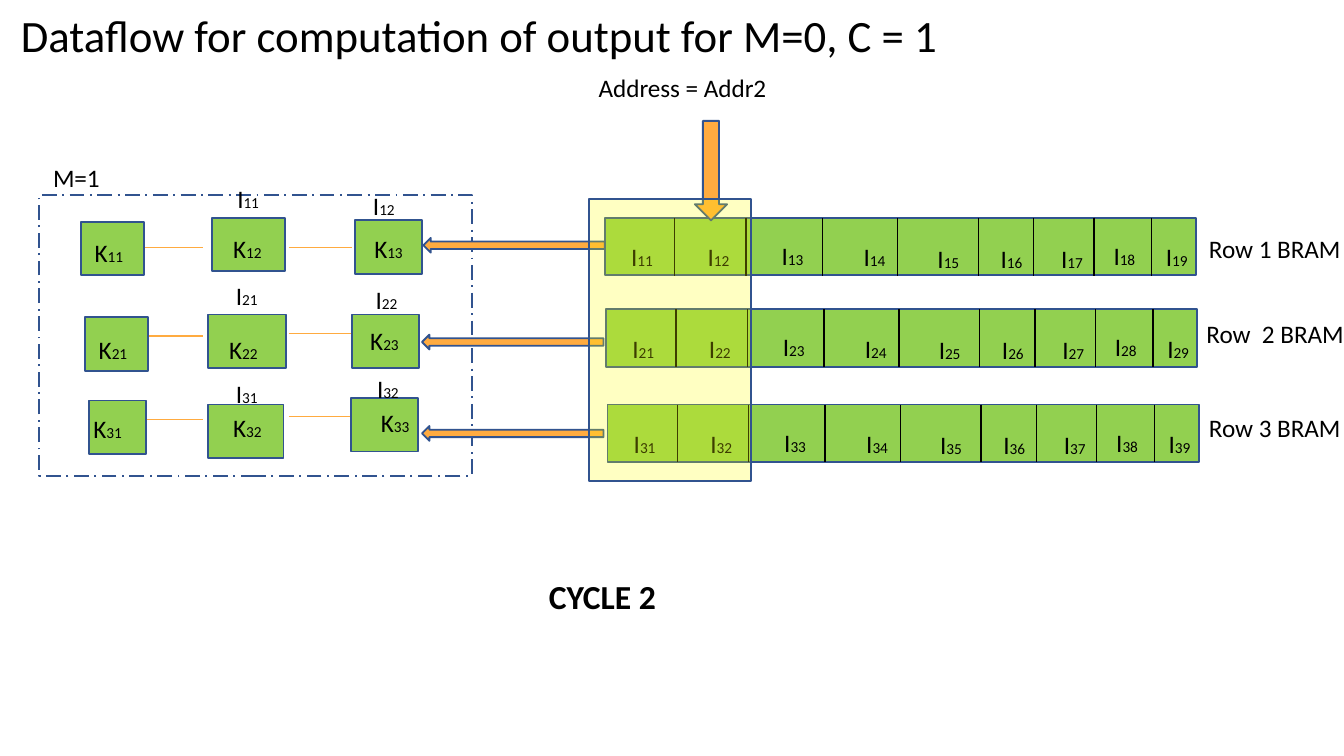
from lxml import etree
from pptx import Presentation
from pptx import util as u
from pptx.dml.color import RGBColor
from pptx.enum import dml, shapes, text
from pptx.oxml.ns import qn

GREEN, ORANGE, YELLOW = "92D050", "FFAB40", "FFFF00"
NAVY, BLACK = "31538F", "000000"
SHAPE = shapes.MSO_SHAPE


def colour(value):
    return RGBColor.from_string(value)


def add_text(page, box, parts, **format_values):
    """Put one line of (words, size) spans in a text box."""
    holder = page.shapes.add_textbox(*map(u.Inches, box))
    frame = holder.text_frame
    frame_values = {
        "word_wrap": True, "vertical_anchor": text.MSO_ANCHOR.TOP,
        "margin_left": u.Pt(5.4), "margin_right": u.Pt(5.4),
        "margin_top": u.Pt(2.7), "margin_bottom": u.Pt(2.7),
    }
    for name, value in frame_values.items():
        setattr(frame, name, value)
    para = frame.paragraphs[0]
    for words, size in parts:
        span = para.add_run()
        span.text = words
        font_values = {"name": "Calibri", "size": u.Pt(size), **format_values}
        for name, value in font_values.items():
            setattr(span.font, name, value)
        span.font.color.rgb = colour(BLACK)


def add_indexed(page, left, top, width, letter, index):
    """Letter with a small index, such as K11."""
    add_text(page, (left, top, width, 0.23), [(letter, 13.5), (index, 8.2)])


def add_block(page, kind, box, fill=None):
    block = page.shapes.add_shape(kind, *map(u.Inches, box))
    block.shadow.inherit = False
    if fill:
        block.fill.solid()
        block.fill.fore_color.rgb = colour(fill)
    else:
        block.fill.background()
    block.line.color.rgb = colour(NAVY)
    block.line.width = u.Pt(1)
    return block


def add_line(page, start, end, line_colour):
    line = page.shapes.add_connector(
        shapes.MSO_CONNECTOR.STRAIGHT, *map(u.Inches, (*start, *end)))
    line.line.color.rgb = colour(line_colour)
    line.line.width = u.Pt(0.75)
    etree.SubElement(line._element.spPr, qn("a:effectLst"))


def add_kernel(page, box):
    """Grid of kernel cells, their links and the dashed frame."""
    left, top = box[:2]
    # Heights of the two links in each row
    for link_tops in ((0.39, 0.39), (1.05, 1.03), (1.67, 1.65)):
        for start, link_top in zip((0.75, 1.86), link_tops):
            add_line(page, (left + start, top + link_top),
                     (left + start + 0.47, top + link_top), ORANGE)
    # Cell left, top, width; label left, top
    cells = {
        "11": (0.31, 0.20, 0.47, 0.34, 0.28),
        "12": (1.29, 0.17, 0.54, 1.37, 0.25),
        "13": (2.35, 0.19, 0.50, 2.42, 0.25),
        "21": (0.34, 0.91, 0.47, 0.37, 1.00),
        "22": (1.26, 0.89, 0.58, 1.34, 1.00),
        "23": (2.33, 0.89, 0.50, 2.39, 0.93),
        "31": (0.37, 1.53, 0.43, 0.33, 1.59),
        "32": (1.26, 1.56, 0.56, 1.37, 1.58),
        "33": (2.32, 1.51, 0.50, 2.47, 1.54),
    }
    for index, (x, y, cell_width, label_x, label_y) in cells.items():
        add_block(page, SHAPE.RECTANGLE,
                  (left + x, top + y, cell_width, 0.4), GREEN)
        add_indexed(page, left + label_x, top + label_y, 0.43, "K", index)
    frame = add_block(page, SHAPE.RECTANGLE, box)
    frame.line.dash_style = dml.MSO_LINE.LONG_DASH_DOT
    add_text(page, (left + 0.03, top - 0.28, 0.5, 0.3), [("M=1", 13.5)])


def add_kernel_inputs(page, box):
    """Input values above the second and third kernel columns."""
    left, top = box[:2]
    inputs = {"12": (2.41, -0.07), "22": (2.43, 0.63), "32": (2.44, 1.29),
              "11": (1.40, -0.12), "21": (1.39, 0.60), "31": (1.39, 1.33)}
    for index, (x, y) in inputs.items():
        add_indexed(page, left + x, top + y, 0.32, "I", index)


def add_memory_row(page, box, row):
    """Memory bar with eight dividers and nine values."""
    left, top, width, height = box
    add_block(page, SHAPE.RECTANGLE, box, GREEN)
    for x in (0.52, 1.05, 1.62, 2.18, 2.78, 3.19, 3.64, 4.07):
        add_line(page, (left + x, top), (left + x, top + height), BLACK)
    labels = ((0.12, 0.14), (0.69, 0.14), (1.24, 0.13), (1.85, 0.14),
              (2.4, 0.15), (2.87, 0.15), (3.32, 0.15), (3.71, 0.13),
              (4.1, 0.14))
    for column, (x, y) in enumerate(labels, 1):
        add_indexed(page, left + x, top + y, 0.32, "I", f"{row}{column}")


def add_memory(page, rows):
    """Memory rows with their names and the arrows to the kernel."""
    for row, (box, name, name_box, arrow_at) in enumerate(rows, 1):
        add_memory_row(page, box, row)
        add_text(page, name_box, [(name, 13.5)])
        add_block(page, SHAPE.LEFT_ARROW, (*arrow_at, 1.35, 0.11), ORANGE)


def add_address(page, box):
    """Address caption with its pointer below."""
    left, top = box[:2]
    add_text(page, box, [("Address = Addr2", 13.5)])
    add_block(page, SHAPE.DOWN_ARROW,
              (left + 0.79, top + 0.4, 0.24, 0.74), ORANGE)


def add_highlight(page, box):
    """See-through window over the columns being read."""
    window = add_block(page, SHAPE.RECTANGLE, box, YELLOW)
    shade = window._element.spPr.find(qn("a:solidFill"))[0]
    etree.SubElement(shade, qn("a:alpha"), val="24000")


def main():
    deck = Presentation()
    # Widescreen, 16 to 9
    deck.slide_width = u.Inches(10)
    deck.slide_height = deck.slide_width * 9 // 16
    page = deck.slides.add_slide(deck.slide_layouts[6])
    kernel_box = (0.29, 1.45, 3.22, 2.09)

    add_text(page, (0.08, 0.02, 8.31, 0.48),
             [("Dataflow for computation of output for M=0, C = 1", 24)])
    add_kernel(page, kernel_box)
    add_memory(page, (
        ((4.5, 1.62, 4.4, 0.43), "Row 1 BRAM",
         (8.92, 1.7, 1.48, 0.37), (3.15, 1.77)),
        ((4.51, 2.3, 4.4, 0.43), " Row  2 BRAM",
         (8.86, 2.33, 1.33, 0.37), (3.14, 2.49)),
        ((4.52, 3.01, 4.4, 0.43), "Row 3 BRAM",
         (8.92, 3.03, 1.62, 0.37), (3.14, 3.17)),
    ))
    add_address(page, (4.38, 0.5, 1.73, 0.3))
    add_text(page, (4.01, 4.25, 1, 0.38), [("CYCLE 2", 18)], bold=True)
    add_kernel_inputs(page, kernel_box)
    add_highlight(page, (4.38, 1.48, 1.21, 2.1))
    deck.save("out.pptx")


if __name__ == "__main__":
    main()
